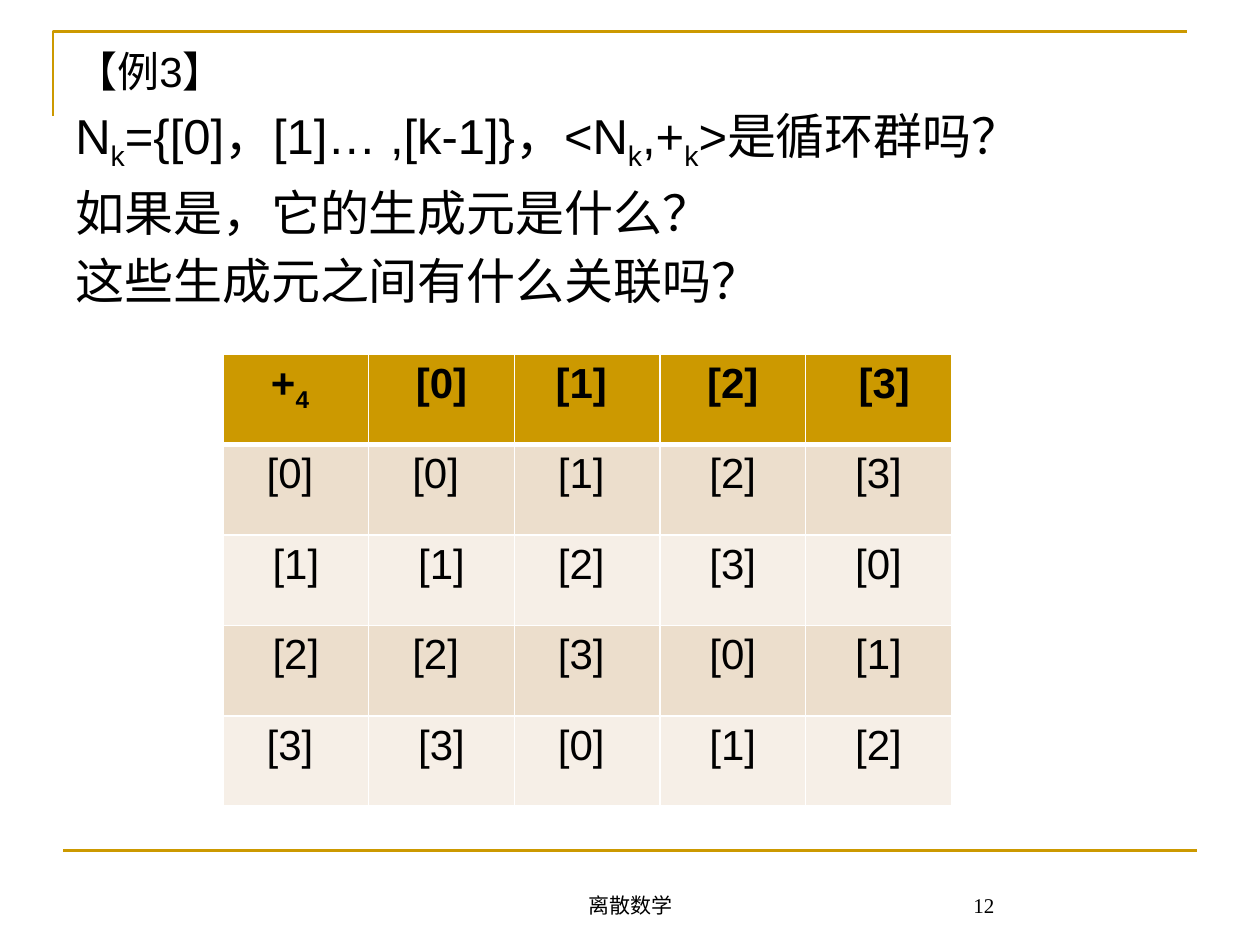
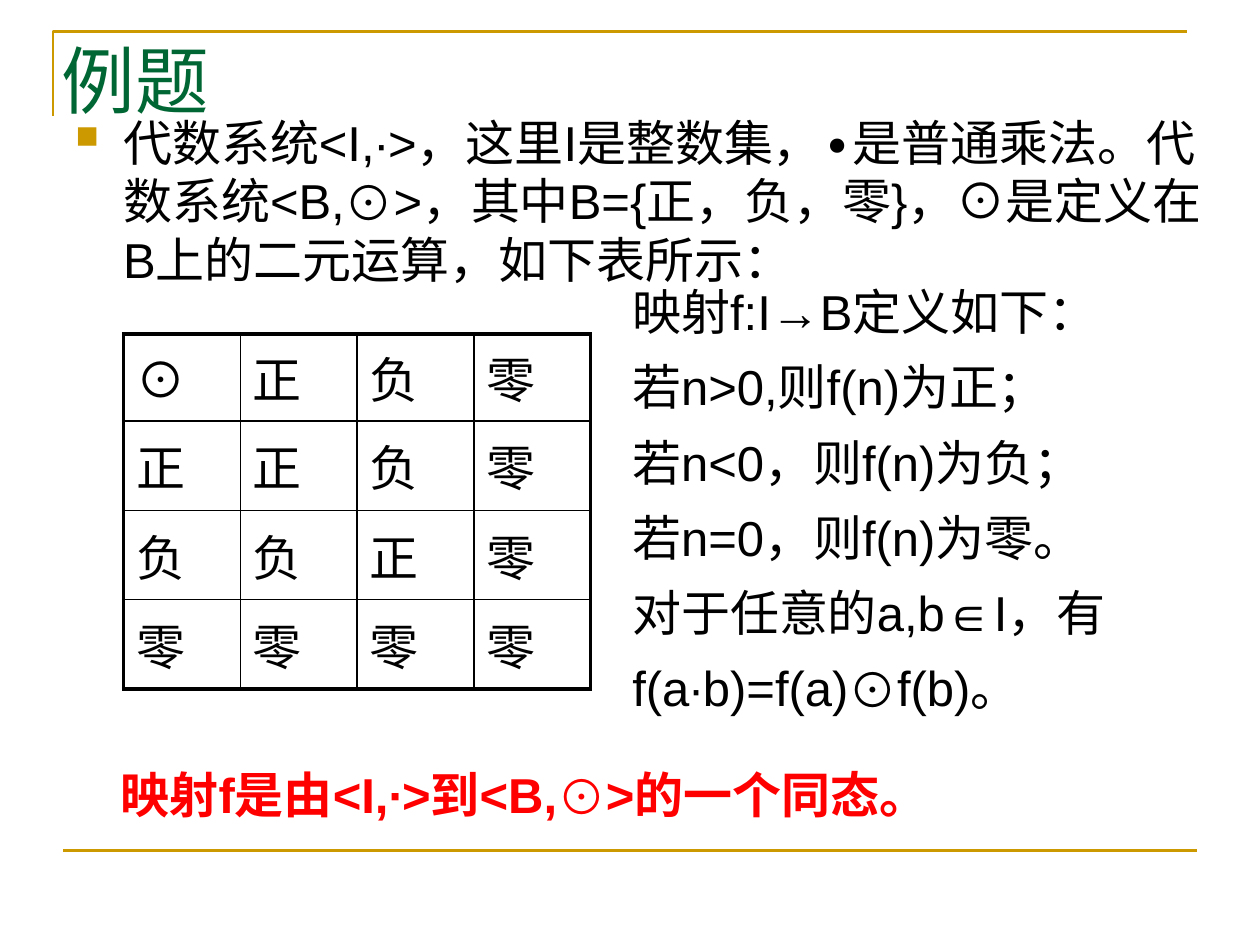
"""Build two discrete mathematics slides on cyclic groups and homomorphisms."""
import lxml.etree
import pptx
import pptx.dml.color
import pptx.enum.shapes
import pptx.enum.text
import pptx.oxml.ns
import pptx.util

Inches = pptx.util.Inches
Pt = pptx.util.Pt
RGBColor = pptx.dml.color.RGBColor
Align = pptx.enum.text.PP_ALIGN
Anchor = pptx.enum.text.MSO_ANCHOR
qn = pptx.oxml.ns.qn

GOLD = RGBColor(0xCC, 0x99, 0x00)
SAND = RGBColor(0xEC, 0xDE, 0xCC)
CREAM = RGBColor(0xF6, 0xEF, 0xE7)
GREEN = RGBColor(0x00, 0x66, 0x33)
RED = RGBColor(0xFF, 0x00, 0x00)
BLACK = RGBColor(0x00, 0x00, 0x00)
WHITE = RGBColor(0xFF, 0xFF, 0xFF)
CJK_FONT = "Noto Sans CJK SC"


def write(frame, lines, size, color=BLACK, font="Arial", bold=False,
          align=Align.LEFT, gap=0, spacing=None):
    """Fill a text frame; an underscore makes the next character a subscript."""
    frame.word_wrap = True
    for index, line in enumerate(lines):
        para = frame.paragraphs[0] if index == 0 else frame.add_paragraph()
        para.alignment = align
        para.line_spacing = spacing
        para.space_before = Pt(gap if index else 0)
        head, *tails = line.split("_")
        pieces = [(head, False)]
        for tail in tails:
            pieces += [(tail[:1], True), (tail[1:], False)]
        for text, lowered in pieces:
            if not text:
                continue
            span = para.add_run()
            span.text = text
            span.font.size = Pt(size)
            span.font.bold = bold
            span.font.name = font
            span.font.color.rgb = color
            properties = span._r.get_or_add_rPr()
            lxml.etree.SubElement(properties, qn("a:ea"), typeface=CJK_FONT)
            if lowered:
                properties.set("baseline", "-25000")


def set_borders(cell, color, widths):
    """Draw the left, right, top and bottom borders of a cell."""
    properties = cell._tc.get_or_add_tcPr()
    for side, width in zip("LRTB", widths):
        line = lxml.etree.SubElement(properties, qn(f"a:ln{side}"), w=str(Pt(width)))
        fill = lxml.etree.SubElement(line, qn("a:solidFill"))
        lxml.etree.SubElement(fill, qn("a:srgbClr"), val=str(color))


deck = pptx.Presentation()
deck.slide_width = Inches(10)
deck.slide_height = Inches(7.5)
group_page = deck.slides.add_slide(deck.slide_layouts[6])
mapping_page = deck.slides.add_slide(deck.slide_layouts[5])

for page in (group_page, mapping_page):
    builder = page.shapes.build_freeform(Inches(0.42), Inches(0.92))
    builder.add_line_segments(
        [(Inches(0.42), Inches(0.25)), (Inches(9.42), Inches(0.25))], close=False)
    corner = builder.convert_to_shape()
    corner.fill.background()
    corner.shadow.inherit = False
    rule = page.shapes.add_connector(
        pptx.enum.shapes.MSO_CONNECTOR.STRAIGHT,
        Inches(0.5), Inches(6.75), Inches(9.5), Inches(6.75))
    lxml.etree.SubElement(rule._element.spPr, qn("a:effectLst"))
    for shape in (corner, rule):
        shape.line.color.rgb = GOLD
        shape.line.width = Pt(1.5)
    lxml.etree.SubElement(rule._element.spPr, qn("a:effectLst")) if (
        rule._element.spPr.find(qn("a:effectLst")) is None) else None

question = group_page.shapes.add_textbox(Inches(0.5), Inches(0.31), Inches(9.11), Inches(2.4))
write(question.text_frame, ["【例3】"], 24)
write_lines = [
    "N_k={[0]，[1]… ,[k-1]}，<N_k,+_k>是循环群吗？",
    "如果是，它的生成元是什么？",
    "这些生成元之间有什么关联吗？",
]
question.text_frame.add_paragraph()
question.text_frame._txBody.remove(question.text_frame.paragraphs[-1]._p)
write(question.text_frame, [""] + write_lines, 28, gap=5.6)

for left, width, text, align in (
    (3.42, 3.17, "离散数学", Align.CENTER),
    (6.89, 1.1, "12", Align.RIGHT),
):
    footer = group_page.shapes.add_textbox(Inches(left), Inches(6.83), Inches(width), Inches(0.5))
    footer.text_frame.vertical_anchor = Anchor.BOTTOM
    write(footer.text_frame, [text], 12, font="Times New Roman", align=align)

sums = [
    ["+_4 ", " [0] ", "[1] ", " [2] ", " [3]"],
    ["[0] ", "[0] ", "[1] ", " [2] ", "[3]"],
    ["[1]", "[1]", "[2] ", " [3] ", "[0]"],
    ["[2]", "[2] ", "[3] ", " [0] ", "[1]"],
    ["[3] ", "[3]", "[0] ", " [1] ", "[2]"],
]
sum_table = group_page.shapes.add_table(
    5, 5, Inches(1.77), Inches(2.81), Inches(5.78), Inches(3.59)).table
sum_table.first_row = sum_table.horz_banding = False
for row, texts in enumerate(sums):
    for column, text in enumerate(texts):
        cell = sum_table.cell(row, column)
        set_borders(cell, WHITE, (1, 1, 3 if row == 1 else 1, 3 if row == 0 else 1))
        cell.fill.solid()
        cell.fill.fore_color.rgb = GOLD if row == 0 else SAND if row % 2 else CREAM
        write(cell.text_frame, [text], 24, bold=row == 0, align=Align.CENTER)

title = mapping_page.shapes.title
title.left, title.top = Inches(0.39), Inches(0.23)
title.width, title.height = Inches(9), Inches(1.25)
title.text_frame.vertical_anchor = Anchor.TOP
write(title.text_frame, ["例题"], 42, GREEN, "Times New Roman")

systems = mapping_page.shapes.add_textbox(Inches(0.5), Inches(0.84), Inches(9.23), Inches(1.53))
bullet = systems.text_frame.paragraphs[0]._p.get_or_add_pPr()
bullet.set("marL", str(Inches(0.38)))
bullet.set("indent", str(-Inches(0.38)))
bullet_color = lxml.etree.SubElement(bullet, qn("a:buClr"))
lxml.etree.SubElement(bullet_color, qn("a:srgbClr"), val=str(GOLD))
lxml.etree.SubElement(bullet, qn("a:buSzPct"), val="65000")
lxml.etree.SubElement(bullet, qn("a:buChar"), char="■")
write(systems.text_frame, [
    "代数系统<I,∙>，这里I是整数集，∙是普通乘法。"
    "代数系统<B,⊙>，其中B={正，负，零}，⊙是定义在B上的二元运算，如下表所示："], 28)

products = ["⊙正负零", "正正负零", "负负正零", "零零零零"]
last = len(products) - 1
product_table = mapping_page.shapes.add_table(
    4, 4, Inches(0.98), Inches(2.65), Inches(3.71), Inches(2.82)).table
product_table.first_row = product_table.horz_banding = False
for row, texts in enumerate(products):
    product_table.rows[row].height = Inches(0.71 if row else 0.69)
    for column, text in enumerate(texts):
        cell = product_table.cell(row, column)
        outer = (column == 0, column == last, row == 0, row == last)
        set_borders(cell, BLACK, [2.25 if edge else 1 for edge in outer])
        cell.fill.background()
        cell.vertical_anchor = Anchor.MIDDLE
        write(cell.text_frame, [text], 28, font=CJK_FONT if text == "⊙" else "Arial")

definition = mapping_page.shapes.add_textbox(Inches(4.92), Inches(2.25), Inches(4.8), Inches(3.69))
write(definition.text_frame, [
    "映射f:I→B定义如下：",
    "若n>0,则f(n)为正；",
    "若n<0，则f(n)为负；",
    "若n=0，则f(n)为零。",
    "对于任意的a,b∈I，有",
    "f(a∙b)=f(a)⊙f(b)。",
], 28, gap=14, spacing=Pt(29))

conclusion = mapping_page.shapes.add_textbox(Inches(0.86), Inches(6.02), Inches(7.09), Inches(0.57))
write(conclusion.text_frame, ["映射f是由<I,∙>到<B,⊙>的一个同态。"], 28, RED, bold=True)

deck.save("out.pptx")
